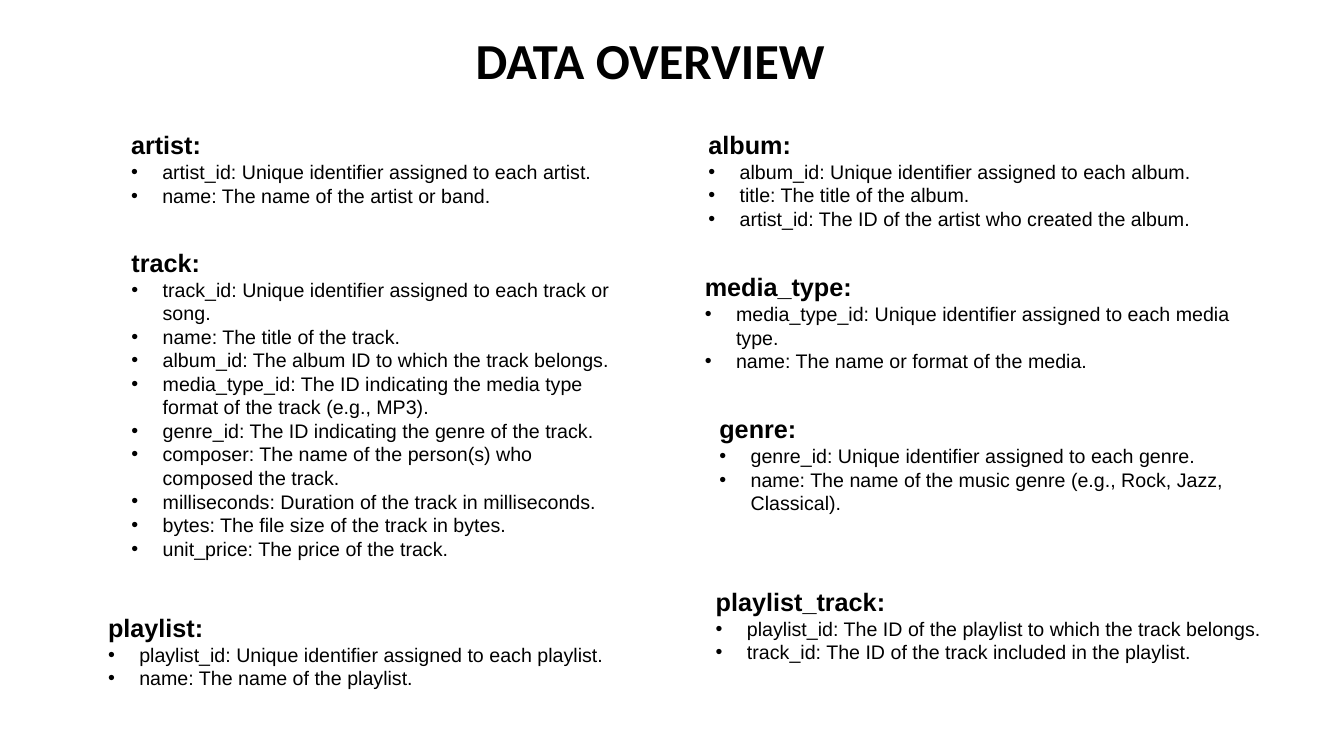
from dataclasses import dataclass

from lxml import etree
from pptx import Presentation
from pptx import util as u
from pptx.dml.color import RGBColor
from pptx.enum import text
from pptx.oxml import ns

BLACK = RGBColor(0, 0, 0)
WHITE = RGBColor(255, 255, 255)
BULLET_INDENT = u.Inches(0.31)

TITLE_FONT = {"name": "Calibri", "size": u.Pt(36), "bold": True}
HEADING_FONT = {"name": "Arial", "size": u.Pt(18), "bold": True}
COLUMN_FONT = {"name": "Arial", "size": u.Pt(14), "bold": False}


@dataclass
class TableNote:
    """A database table name with its column descriptions."""
    name: str
    left: float
    top: float
    width: float
    height: float
    columns: list[str]
    bottom_inset: float = 0.05


TABLE_NOTES = [
    TableNote("artist:", -0.4, 1.23, 7.97, 0.88, [
        "artist_id: Unique identifier assigned to each artist.",
        "name: The name of the artist or band.",
    ]),
    TableNote("album:", 6.63, 1.23, 5.58, 1.11, [
        "album_id: Unique identifier assigned to each album.",
        "title: The title of the album.",
        "artist_id: The ID of the artist who created the album.",
    ]),
    TableNote("track:", 1.17, 2.39, 5.01, 3.23, [
        "track_id: Unique identifier assigned to each track or song.",
        "name: The title of the track.",
        "album_id: The album ID to which the track belongs.",
        "media_type_id: The ID indicating the media type format of the track (e.g., MP3).",
        "genre_id: The ID indicating the genre of the track.",
        "composer: The name of the person(s) who composed the track.",
        "milliseconds: Duration of the track in milliseconds.",
        "bytes: The file size of the track in bytes.",
        "unit_price: The price of the track.",
    ]),
    TableNote("media_type:", 6.85, 2.64, 5.49, 1.11, [
        "media_type_id: Unique identifier assigned to each media type.",
        "name: The name or format of the media.",
    ]),
    TableNote("genre:", 6.8, 4.05, 5.67, 1.41, [
        "genre_id: Unique identifier assigned to each genre.",
        "name: The name of the music genre (e.g., Rock, Jazz, Classical).",
    ], bottom_inset=0.35),
    TableNote("playlist:", 0.93, 6.02, 5.2, 0.88, [
        "playlist_id: Unique identifier assigned to each playlist.",
        "name: The name of the playlist.",
    ]),
    TableNote("playlist_track:", 6.97, 5.76, 5.67, 0.88, [
        "playlist_id: The ID of the playlist to which the track belongs.",
        "track_id: The ID of the track included in the playlist.",
    ]),
]


def format_box(shape, left: float, top: float, width: float, height: float,
               bottom_inset: float = 0.05) -> None:
    """Place a box and centre its left-aligned text block in it."""
    place = {"left": left, "top": top, "width": width, "height": height}
    for key, value in place.items():
        setattr(shape, key, u.Inches(value))
    shape.line.color.rgb = WHITE
    shape.line.width = u.Pt(0.75)
    frame_format = {
        "word_wrap": True,
        "auto_size": text.MSO_AUTO_SIZE.SHAPE_TO_FIT_TEXT,
        "vertical_anchor": text.MSO_ANCHOR.MIDDLE,
        "margin_bottom": u.Inches(bottom_inset),
    }
    for key, value in frame_format.items():
        setattr(shape.text_frame, key, value)
    shape.text_frame._txBody.bodyPr.set("anchorCtr", "1")


def write_paragraph(paragraph, words: str, font_format: dict) -> None:
    paragraph.alignment = text.PP_ALIGN.LEFT
    run = paragraph.add_run()
    run.text = words
    run.font.color.rgb = BLACK
    for key, value in font_format.items():
        setattr(run.font, key, value)


def add_bullet(paragraph) -> None:
    properties = paragraph._p.get_or_add_pPr()
    properties.set("marL", str(BULLET_INDENT))
    properties.set("indent", str(-BULLET_INDENT))
    etree.SubElement(properties, ns.qn("a:buFont"), typeface="Arial")
    etree.SubElement(properties, ns.qn("a:buChar"), char="•")


def add_table_note(slide, note: TableNote) -> None:
    shape = slide.shapes.add_textbox(0, 0, 0, 0)
    format_box(shape, note.left, note.top, note.width, note.height, note.bottom_inset)
    frame = shape.text_frame
    write_paragraph(frame.paragraphs[0], note.name, HEADING_FONT)
    for column in note.columns:
        paragraph = frame.add_paragraph()
        write_paragraph(paragraph, column, COLUMN_FONT)
        add_bullet(paragraph)


def main() -> None:
    presentation = Presentation()
    presentation.slide_width = u.Inches(13.33)
    presentation.slide_height = u.Inches(7.5)
    slide = presentation.slides.add_slide(presentation.slide_layouts.get_by_name("Title Only"))

    # Title
    title = slide.shapes.title
    format_box(title, 3.47, 0.23, 5.96, 0.71)
    write_paragraph(title.text_frame.paragraphs[0], "DATA OVERVIEW", TITLE_FONT)

    # Database tables
    for note in TABLE_NOTES:
        add_table_note(slide, note)

    presentation.save("out.pptx")


if __name__ == "__main__":
    main()
